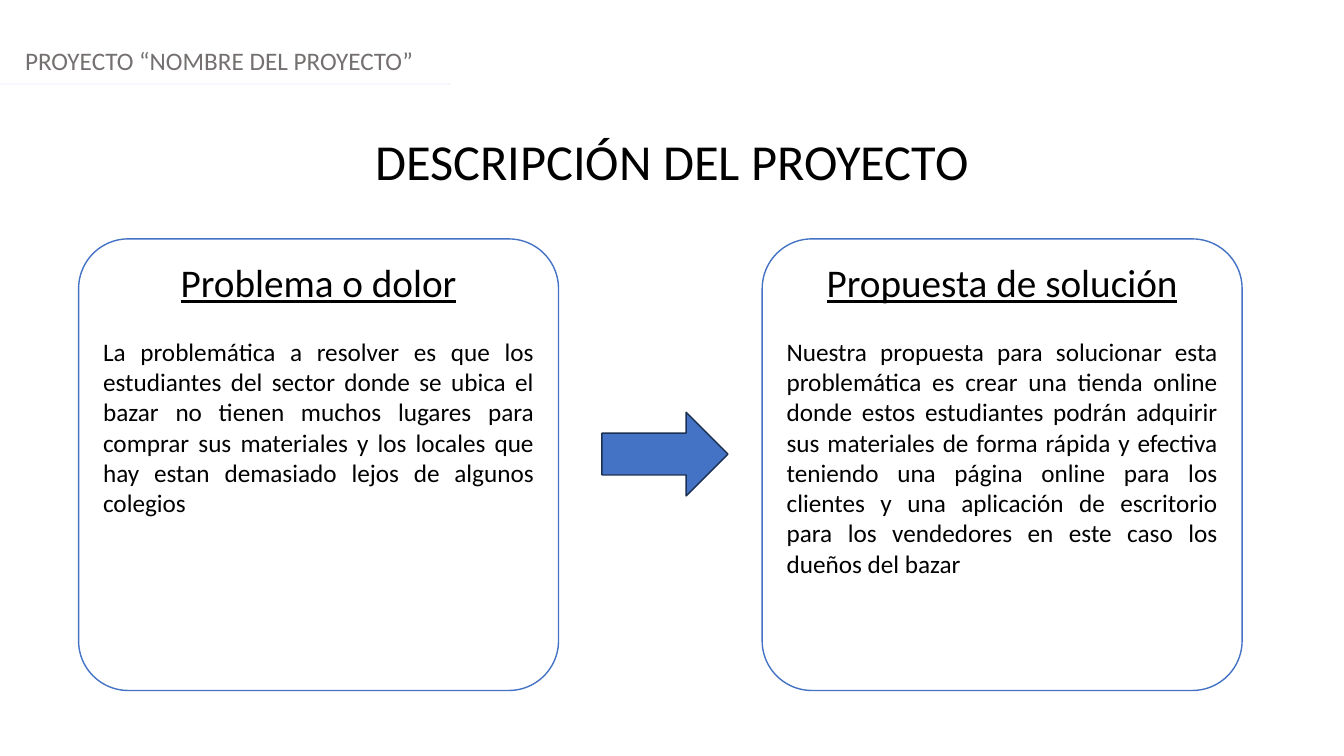
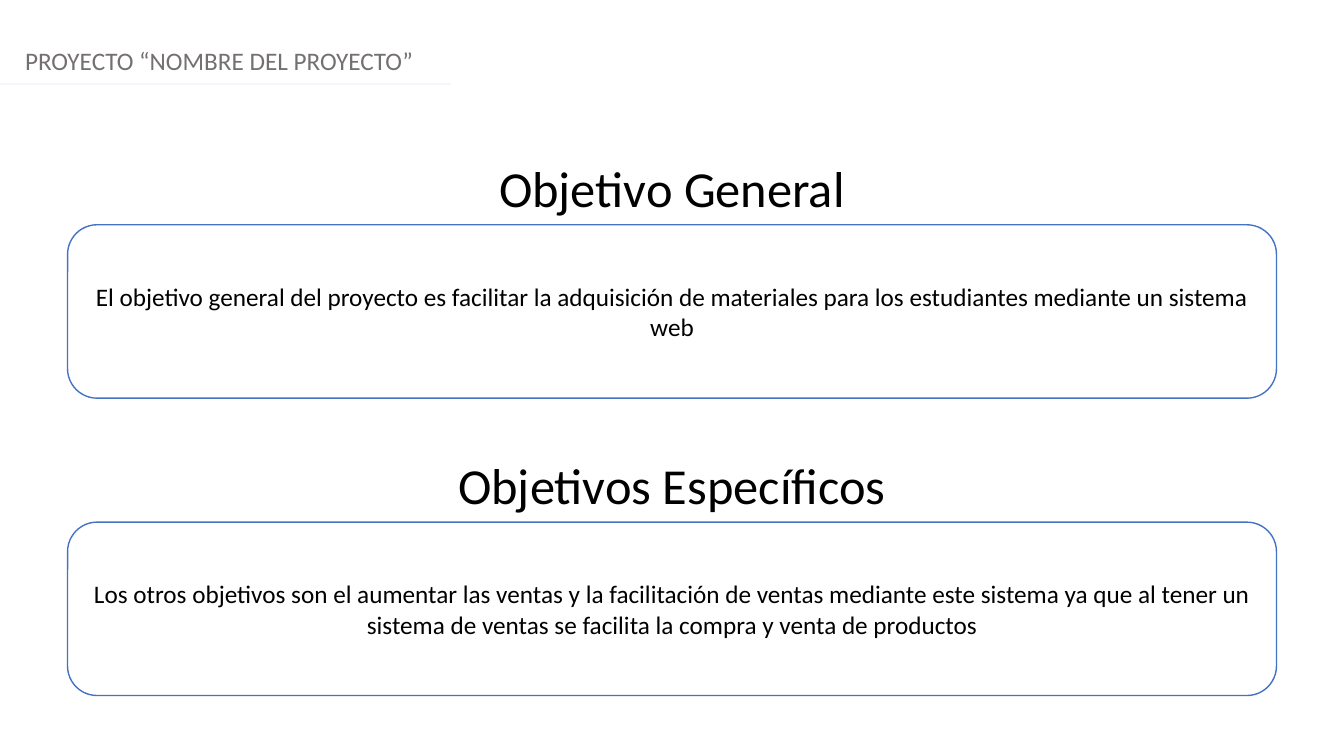
from lxml import etree
from pptx import Presentation
from pptx.dml.color import RGBColor
from pptx.enum.shapes import MSO_CONNECTOR as Connector, MSO_SHAPE as Shape
from pptx.enum.text import MSO_ANCHOR as Anchor, PP_ALIGN as Align
from pptx.oxml.ns import qn
from pptx.util import Inches, Pt

# Shared style
FONT = "Calibri"
COLORS = {
    "text": "000000",
    "header": "757070",
    "rule": "F5F7FC",
    "panel": "FFFFFF",
    "accent": "4472C4",
    "arrow_edge": "1C3052",
}
SLIDE_WIDTH, SLIDE_HEIGHT = 13.33, 7.5
TITLE_SIZE, HEADING_SIZE, BODY_SIZE = 36, 28, 18
TITLE_HEIGHT = 0.71

# Slide content
COLUMNS = [
    ("Problema o dolor",
     "La problemática a resolver es que los estudiantes del sector donde se "
     "ubica el bazar no tienen muchos lugares para comprar sus materiales y "
     "los locales que hay estan demasiado lejos de algunos colegios"),
    ("Propuesta de solución",
     "Nuestra propuesta para solucionar esta problemática es crear una tienda "
     "online donde estos estudiantes podrán adquirir sus materiales de forma "
     "rápida y efectiva teniendo una página online para los clientes y una "
     "aplicación de escritorio para los vendedores en este caso los dueños "
     "del bazar"),
]
OBJECTIVES = [
    ("Objetivo General",
     "El objetivo general del proyecto es facilitar la adquisición de "
     "materiales para los estudiantes mediante un sistema web"),
    ("Objetivos Específicos",
     "Los otros objetivos son el aumentar las ventas y la facilitación de "
     "ventas mediante este sistema ya que al tener un sistema de ventas se "
     "facilita la compra y venta de productos"),
]


def color(name):
    return RGBColor.from_string(COLORS[name])


def write(paragraph, text, size, align, color_name="text", underline=False):
    paragraph.text = text
    paragraph.alignment = align
    for run in paragraph.runs:
        run.font.name = FONT
        run.font.size = Pt(size)
        run.font.color.rgb = color(color_name)
        run.font.underline = underline


def add_text(slide, text, left, top, width, height, size, align, color_name="text"):
    box = slide.shapes.add_textbox(
        Inches(left), Inches(top), Inches(width), Inches(height))
    box.text_frame.word_wrap = True
    write(box.text_frame.paragraphs[0], text, size, align, color_name)


def add_title(slide, text, top):
    add_text(slide, text, 0, top, SLIDE_WIDTH, TITLE_HEIGHT, TITLE_SIZE, Align.CENTER)


def add_rule(slide, top, width):
    rule = slide.shapes.add_connector(
        Connector.STRAIGHT, Inches(0), Inches(top), Inches(width), Inches(top))
    rule.line.color.rgb = color("rule")
    rule.line.width = Pt(1.25)
    etree.SubElement(rule._element.spPr, qn("a:effectLst"))


def add_filled_shape(slide, kind, left, top, width, height, fill, line):
    shape = slide.shapes.add_shape(
        kind, Inches(left), Inches(top), Inches(width), Inches(height))
    shape.shadow.inherit = False
    shape.fill.solid()
    shape.fill.fore_color.rgb = color(fill)
    shape.line.color.rgb = color(line)
    shape.line.width = Pt(1)
    return shape


def add_panel(slide, left, top, width, height, rounding, anchor):
    panel = add_filled_shape(
        slide, Shape.ROUNDED_RECTANGLE, left, top, width, height, "panel", "accent")
    panel.adjustments[0] = rounding
    panel.text_frame.word_wrap = True
    panel.text_frame.vertical_anchor = anchor
    return panel.text_frame


def add_project_slide(presentation):
    """Add a blank slide with the project header and its rule."""
    slide = presentation.slides.add_slide(presentation.slide_layouts[6])
    add_text(slide, "PROYECTO “NOMBRE DEL PROYECTO”", 0.15, 0.4, 13, 0.4,
             BODY_SIZE, Align.LEFT, "header")
    add_rule(slide, 0.83, 4.47)
    return slide


def build_description(presentation):
    slide = add_project_slide(presentation)
    add_title(slide, "DESCRIPCIÓN DEL PROYECTO", 1.24)

    # Problem and solution columns
    for index, (heading, body) in enumerate(COLUMNS):
        frame = add_panel(
            slide, 0.78 + index * 6.78, 2.37, 4.76, 4.48, 0.11, Anchor.TOP)
        write(frame.paragraphs[0], heading, HEADING_SIZE, Align.CENTER, underline=True)
        frame.paragraphs[0].space_after = Pt(22)
        write(frame.add_paragraph(), body, BODY_SIZE, Align.JUSTIFY)

    # Arrow from problem to solution
    add_filled_shape(
        slide, Shape.RIGHT_ARROW, 5.97, 4.09, 1.25, 0.83, "accent", "arrow_edge")


def build_objectives(presentation):
    slide = add_project_slide(presentation)
    for index, (title, body) in enumerate(OBJECTIVES):
        top = 1.51 + index * 2.95
        add_title(slide, title, top)
        frame = add_panel(
            slide, 0.67, top + TITLE_HEIGHT + 0.01, 11.99, 1.72, 0.17, Anchor.MIDDLE)
        write(frame.paragraphs[0], body, BODY_SIZE, Align.CENTER)


def main():
    presentation = Presentation()
    presentation.slide_width = Inches(SLIDE_WIDTH)
    presentation.slide_height = Inches(SLIDE_HEIGHT)
    build_description(presentation)
    build_objectives(presentation)
    presentation.save("out.pptx")


if __name__ == "__main__":
    main()
